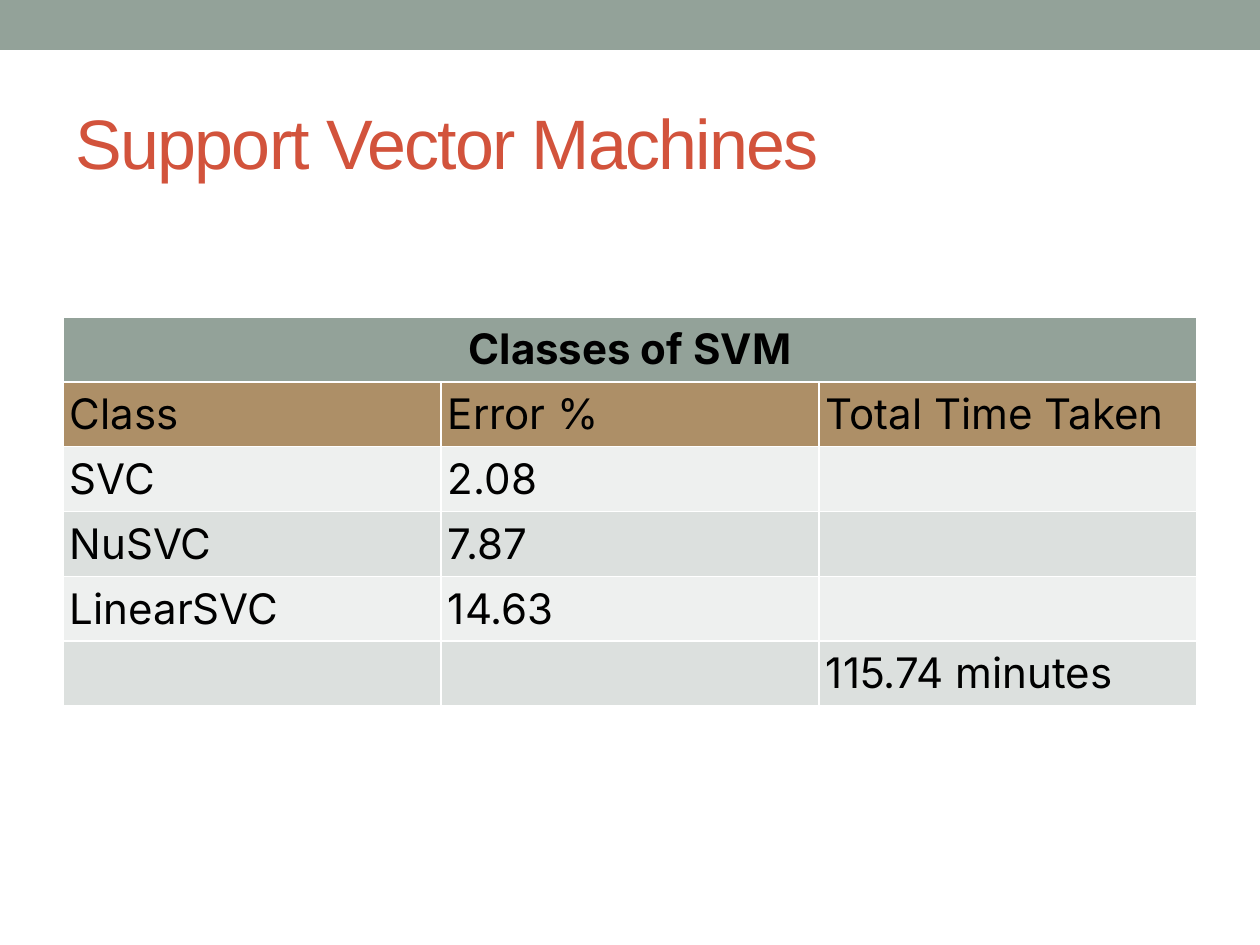
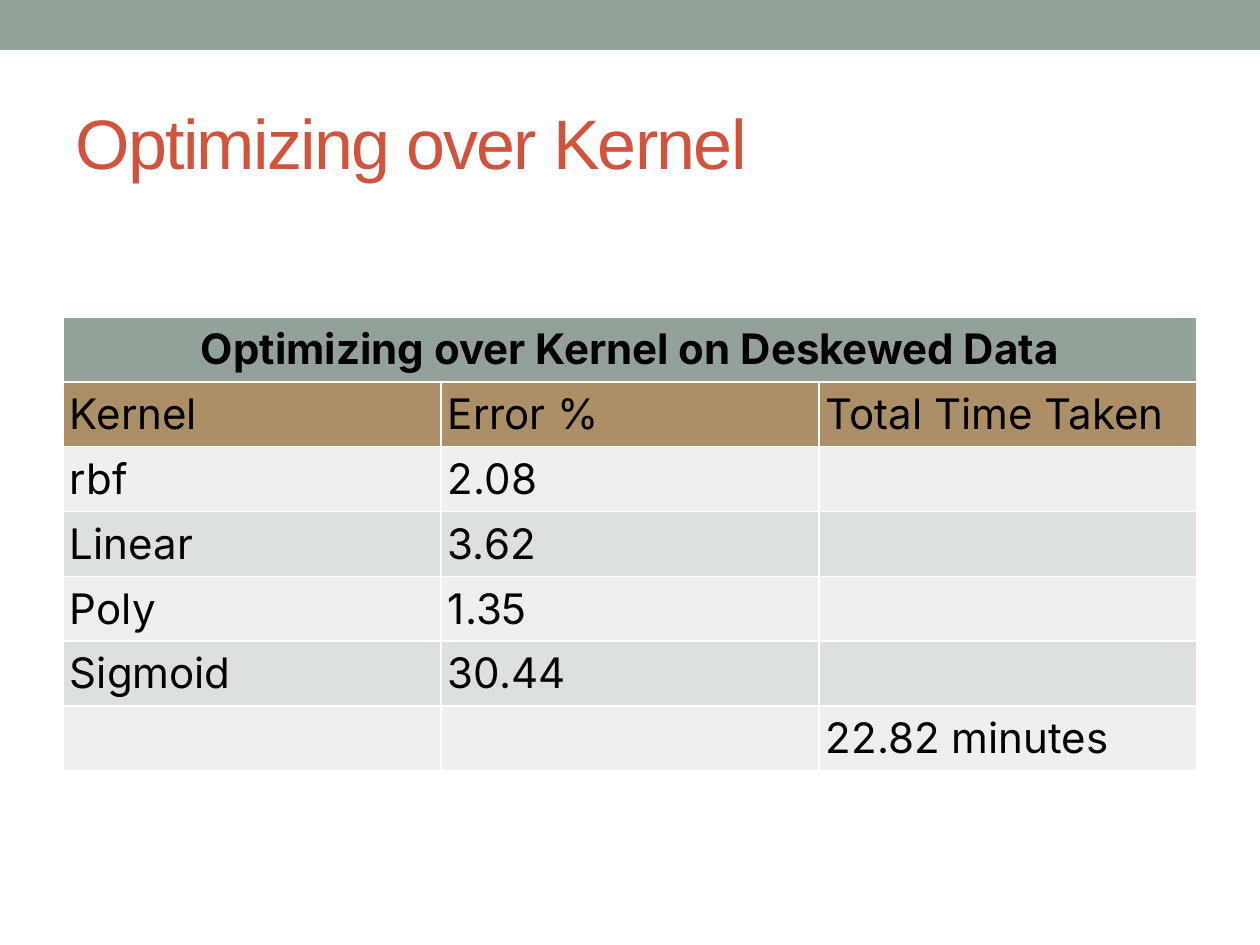
from dataclasses import dataclass

from pptx import Presentation
from pptx import util as u
from pptx.dml.color import RGBColor
from pptx.enum import shapes, text

PIXEL = u.Inches(1) / 126
TITLE_ONLY = 5


@dataclass(frozen=True)
class Theme:
    """Colours, fonts and sizes shared by all slides."""
    band: str = "93A299"
    title: str = "D2533C"
    heading: str = "AD8F67"
    stripes: tuple = ("EEF0EF", "DCE0DE")
    ink: str = "000000"
    title_font: str = "Arial"
    table_font: str = "Inter"
    title_size: int = 40
    table_size: int = 24


THEME = Theme()

TABLES = [
    ("Support Vector Machines", "Classes of SVM", "Class",
     [("SVC", "2.08"), ("NuSVC", "7.87"), ("LinearSVC", "14.63")],
     "115.74 minutes"),
    ("Optimizing over Kernel", "Optimizing over Kernel on Deskewed Data", "Kernel",
     [("rbf", "2.08"), ("Linear", "3.62"), ("Poly", "1.35"), ("Sigmoid", "30.44")],
     "22.82 minutes"),
]


def px(count):
    """Turn picture pixels into EMU."""
    return u.Emu(round(count * PIXEL))


def apply(target, values):
    """Set each named attribute on the target."""
    for name, value in values.items():
        setattr(target, name, value)


def paint(target, colour):
    """Give a shape or cell a solid fill."""
    target.fill.solid()
    target.fill.fore_color.rgb = RGBColor.from_string(colour)


def write(para, words, colour, **font):
    """Add one formatted run to a paragraph and return it."""
    span = para.add_run()
    span.text = words
    apply(span.font, font)
    span.font.color.rgb = RGBColor.from_string(colour)
    return span


def add_band(page):
    """Draw the band along the top edge."""
    band = page.shapes.add_shape(shapes.MSO_SHAPE.RECTANGLE, 0, 0, px(1260), px(50))
    band.shadow.inherit = False
    paint(band, THEME.band)
    band.line.fill.background()


def add_title(page, words):
    """Fill and format the title placeholder."""
    title = page.shapes.title
    apply(title, dict(left=px(63), top=px(73), width=px(1134), height=px(136)))
    apply(title.text_frame, dict(vertical_anchor=text.MSO_ANCHOR.MIDDLE,
                                 word_wrap=True))
    para = title.text_frame.paragraphs[0]
    para.alignment = text.PP_ALIGN.LEFT
    span = write(para, words, THEME.title, name=THEME.title_font,
                 size=u.Pt(THEME.title_size))
    span.font._element.set("spc", "-100")


def row_colour(number):
    """Return the fill of a table row: caption, headings, then stripes."""
    return (THEME.band, THEME.heading)[number] if number < 2 else THEME.stripes[number % 2]


def fill_cell(cell, words, number):
    """Format one table cell for its row number."""
    apply(cell, dict.fromkeys(
        ("margin_left", "margin_right", "margin_top", "margin_bottom"), px(7)))
    paint(cell, row_colour(number))
    if words:
        para = cell.text_frame.paragraphs[0]
        para.alignment = text.PP_ALIGN.LEFT if number else text.PP_ALIGN.CENTER
        write(para, words, THEME.ink, name=THEME.table_font,
              size=u.Pt(THEME.table_size), bold=number == 0)


def add_results(page, caption, subject, results, total):
    """Add a results table; its white rules come from the default table style."""
    rows = [(caption,), (subject, "Error %", "Total Time Taken"),
            *((name, error, "") for name, error in results), ("", "", total)]
    table = page.shapes.add_table(len(rows), 3, px(63), px(317), px(1134),
                                  px(64.6 * len(rows))).table
    table.cell(0, 0).merge(table.cell(0, 2))
    for number, row in enumerate(rows):
        for column, words in enumerate(row):
            fill_cell(table.cell(number, column), words, number)


def main():
    """Build the deck."""
    deck = Presentation()
    apply(deck, dict(slide_width=px(1260), slide_height=px(945)))
    for title, *content in TABLES:
        page = deck.slides.add_slide(deck.slide_layouts[TITLE_ONLY])
        add_band(page)
        add_title(page, title)
        add_results(page, *content)
    deck.save("out.pptx")


main()
